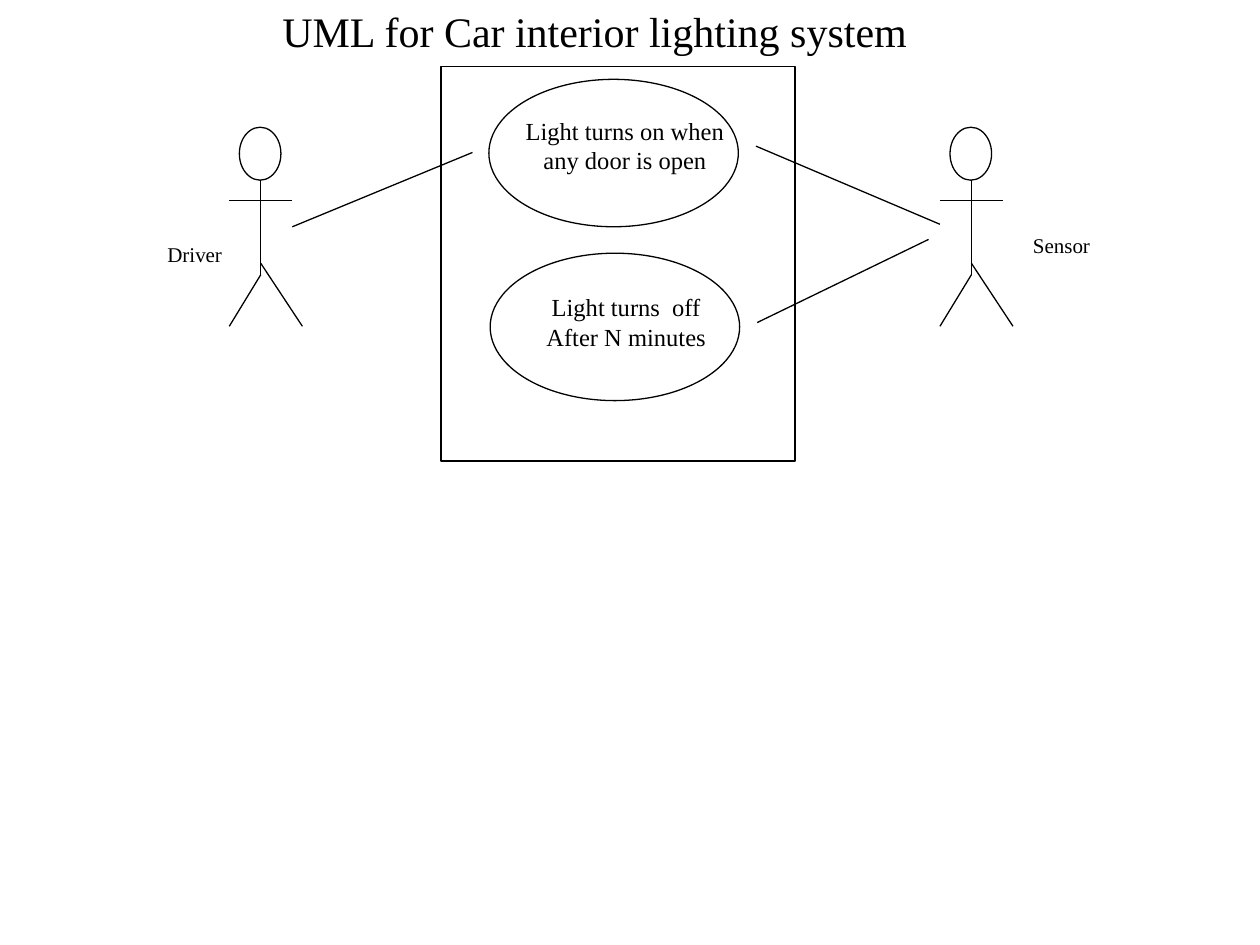
from pptx import Presentation
from pptx.dml.color import RGBColor
from pptx.enum.shapes import MSO_CONNECTOR as CONN, MSO_SHAPE as SHAPE
from pptx.enum.text import MSO_ANCHOR as ANCHOR, PP_ALIGN as ALIGN
from pptx.oxml.ns import qn
from pptx.util import Inches, Pt
from lxml.etree import SubElement

COLORS = {"ink": "000000", "paper": "FFFFFF"}
FONT = "Times New Roman"
LINE_WIDTH = Pt(0.75)


def rgb(name):
    return RGBColor.from_string(COLORS[name])


def write(tf, lines, size, align=ALIGN.LEFT, wrap=True):
    tf.word_wrap = wrap
    tf.vertical_anchor = ANCHOR.TOP
    tf.margin_left = tf.margin_right = Inches(0.1)
    tf.margin_top = tf.margin_bottom = Inches(0.05)
    for i, line in enumerate(lines):
        p = tf.add_paragraph() if i else tf.paragraphs[0]
        p.alignment = align
        p.line_spacing = 1.0
        p.space_before = Pt(0)
        r = p.add_run()
        r.text = line
        r.font.size = Pt(size)
        r.font.name = FONT
        r.font.color.rgb = rgb("ink")


def add_text(shapes, box, lines, size, align=ALIGN.LEFT):
    tb = shapes.add_textbox(*map(Inches, box))
    write(tb.text_frame, lines, size, align)


def add_outline(shapes, kind, box, fill=None):
    sp = shapes.add_shape(kind, *map(Inches, box))
    sp.shadow.inherit = False
    if fill:
        sp.fill.solid()
        sp.fill.fore_color.rgb = rgb(fill)
    else:
        sp.fill.background()
    sp.line.color.rgb = rgb("ink")
    sp.line.width = LINE_WIDTH


def add_line(shapes, x1, y1, x2, y2):
    line = shapes.add_connector(CONN.STRAIGHT, *map(Inches, (x1, y1, x2, y2)))
    line.line.color.rgb = rgb("ink")
    line.line.width = LINE_WIDTH
    SubElement(line._element.spPr, qn("a:effectLst"))


def add_title(s, box, text):
    title = s.shapes.title
    title.left, title.top, title.width, title.height = map(Inches, box)
    write(title.text_frame, [text], 24, wrap=False)


def add_actor(s, x, y, name, label_box):
    """Stick figure whose left hand is at x and whose head starts at y."""
    shapes = s.shapes.add_group_shape().shapes
    spine, neck, hip, feet = x + 0.25, y + 0.42, y + 1.17, y + 1.58
    add_outline(shapes, SHAPE.OVAL, (x + 0.08, y, 0.33, 0.42))
    add_line(shapes, spine, neck, spine, hip)
    add_line(shapes, x, y + 0.58, x + 0.5, y + 0.58)
    add_line(shapes, spine, hip, x, feet)
    add_line(shapes, spine, hip - 0.09, x + 0.58, feet)
    add_text(s.shapes, label_box, [name], 12)


def add_use_case(s, x, y, lines, text_dy):
    add_outline(s.shapes, SHAPE.OVAL, (x, y, 1.98, 1.17))
    add_text(s.shapes, (x + 0.04, y + text_dy, 2.08, 0.57), lines, 14, ALIGN.CENTER)


def add_system(s, box):
    x, y, _, _ = box
    add_outline(s.shapes, SHAPE.RECTANGLE, box, "paper")
    add_use_case(s, x + 0.38, y + 0.1, ["Light turns on when", "any door is open"], 0.24)
    add_use_case(s, x + 0.39, y + 1.48, ["Light turns  off", "After N minutes"], 0.26)


def add_associations(s):
    for ends in ((2.32, 1.8, 3.75, 1.21),
                 (7.46, 1.78, 6, 1.16),
                 (7.37, 1.9, 6.01, 2.56)):
        add_line(s.shapes, *ends)


def main():
    prs = Presentation()
    prs.slide_width, prs.slide_height = Inches(10), Inches(7.5)
    s = prs.slides.add_slide(prs.slide_layouts[5])
    s.background.fill.solid()
    s.background.fill.fore_color.rgb = rgb("paper")
    add_title(s, (2.14, -0.01, 5.17, 0.5), "UML for Car interior lighting system")
    add_system(s, (3.5, 0.53, 2.81, 3.13))
    add_actor(s, 1.82, 1.01, "Driver", (1.23, 1.87, 0.67, 0.3))
    add_actor(s, 7.46, 1.01, "Sensor", (8.1, 1.8, 0.67, 0.3))
    add_associations(s)
    prs.save("out.pptx")


if __name__ == "__main__":
    main()
